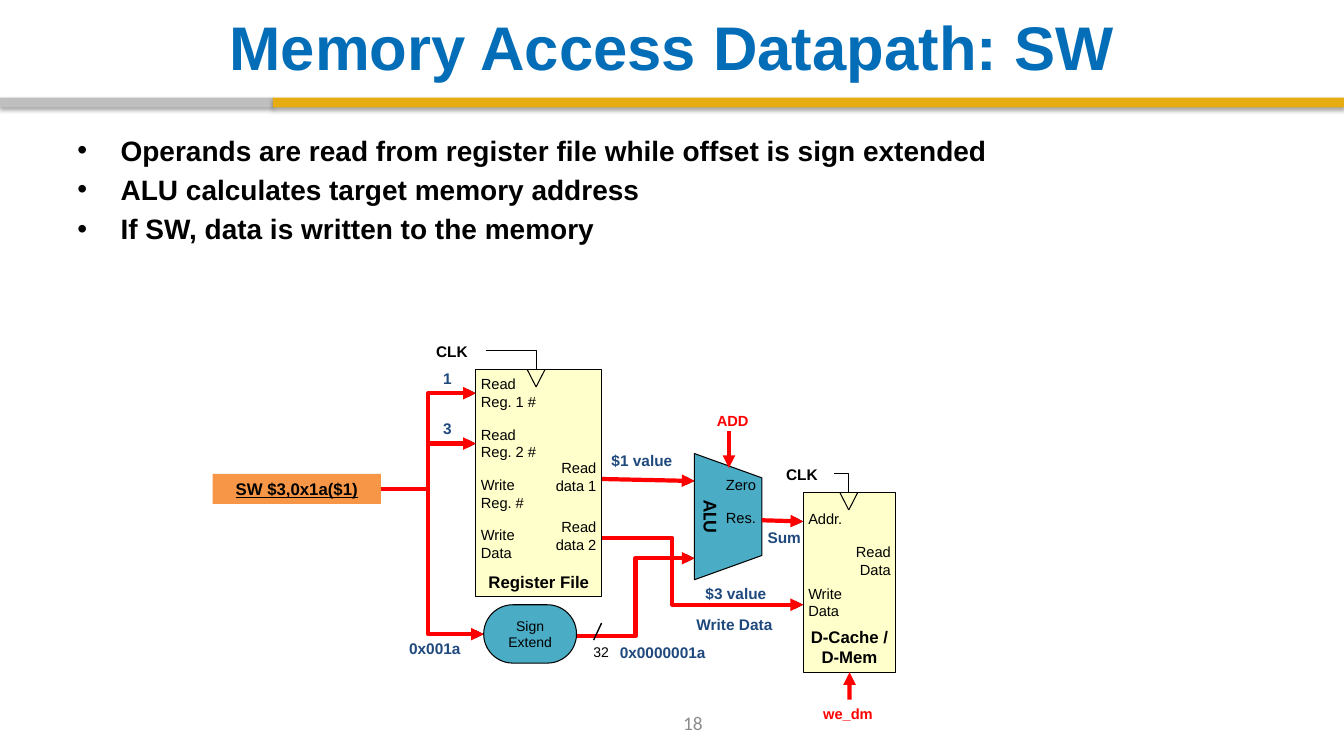
from dataclasses import dataclass

from lxml.etree import SubElement
from pptx import Presentation
from pptx.dml.color import RGBColor
from pptx.enum.shapes import MSO_CONNECTOR as LINK, MSO_SHAPE as SHAPE
from pptx.enum.text import MSO_ANCHOR as ANCHOR, PP_ALIGN as ALIGN
from pptx.oxml.ns import qn
from pptx.util import Cm, Pt

BLACK, RED, NAVY, BLUE, GOLD = "000000", "FF0000", "1F497D", "036DB7", "E7AC11"
CREAM, TEAL, ORANGE, SILVER, GREY = "FFFFCC", "4BACC6", "F79646", "BFBFBF", "8C8C8C"
WIDE, SNUG, SLIM, FLUSH = (0.25, 0.13), (0.13, 0.13), (0.08, 0.13), (0, 0.13)


@dataclass
class Style:
    size: float
    color: str = BLACK
    bold: bool = False
    underline: bool = False
    name: str = "Arial"
    align: ALIGN = ALIGN.LEFT
    anchor: ANCHOR = ANCHOR.TOP
    inset: tuple[float, float] = WIDE
    wrap: bool = True


@dataclass
class Label:
    text: str
    at: tuple[float, float, float, float]
    style: Style


@dataclass
class Block:
    text: str
    at: tuple[float, float, float, float]
    fill: str
    style: Style
    kind: SHAPE = SHAPE.RECTANGLE
    line: str | None = BLACK
    adj: float | None = None
    rotation: float = 0


@dataclass
class Wire:
    start: tuple[float, float]
    end: tuple[float, float]
    bend: float | None = None  # share of the width at which the wire turns


prs = Presentation()
prs.slide_width, prs.slide_height = Cm(33.87), Cm(19.05)
s = prs.slides.add_slide(prs.slide_layouts[6])


def rgb(color: str) -> RGBColor:
    return RGBColor.from_string(color)


def write(tf, text: str, style: Style) -> None:
    """Fill a text frame, one paragraph for each line of the text."""
    side, edge = style.inset
    frame = {"margin_left": Cm(side), "margin_right": Cm(side), "margin_top": Cm(edge),
             "margin_bottom": Cm(edge), "word_wrap": style.wrap, "vertical_anchor": style.anchor}
    for key, value in frame.items():
        setattr(tf, key, value)
    font = {"size": Pt(style.size), "bold": style.bold,
            "underline": style.underline, "name": style.name}
    for i, line in enumerate(text.split("\n")):
        p = tf.add_paragraph() if i else tf.paragraphs[0]
        p.alignment = style.align
        r = p.add_run()
        r.text = line
        for key, value in font.items():
            setattr(r.font, key, value)
        r.font.color.rgb = rgb(style.color)


def add_label(label: Label):
    sp = s.shapes.add_textbox(*map(Cm, label.at))
    write(sp.text_frame, label.text, label.style)
    return sp


def add_block(block: Block):
    sp = s.shapes.add_shape(block.kind, *map(Cm, block.at))
    sp.shadow.inherit = False
    sp.rotation = block.rotation
    sp.fill.solid()
    sp.fill.fore_color.rgb = rgb(block.fill)
    if block.line:
        sp.line.color.rgb = rgb(block.line)
        sp.line.width = Pt(0.75)
    else:
        sp.line.fill.background()
    if block.adj is not None:
        sp.adjustments[0] = block.adj
    if block.text:
        write(sp.text_frame, block.text, block.style)
    return sp


def add_wire(wire: Wire, color: str = BLACK, width: float = 0.75, arrow: bool = False):
    kind = LINK.STRAIGHT if wire.bend is None else LINK.ELBOW
    c = s.shapes.add_connector(kind, *map(Cm, wire.start + wire.end))
    c.line.color.rgb = rgb(color)
    c.line.width = Pt(width)
    props = c._element.spPr
    if arrow:
        SubElement(props.find(qn("a:ln")), qn("a:tailEnd"), type="triangle")
    if wire.bend is not None:
        guides = props.find(qn("a:prstGeom")).get_or_add_avLst()
        SubElement(guides, qn("a:gd"), name="adj1", fmla=f"val {round(wire.bend * 100000)}")
    SubElement(props, qn("a:effectLst"))
    return c


def add_header_bar(left: float, width: float, color: str) -> None:
    sp = add_block(Block("", (left, 2.46, width, 0.25), color, PORT, line=None))
    effects = sp._element.spPr.find(qn("a:effectLst"))
    shadow = SubElement(effects, qn("a:outerShdw"), blurRad=str(Pt(3.1)), dist=str(Pt(1.8)),
                        dir="5400000", rotWithShape="0")
    black = SubElement(shadow, qn("a:srgbClr"), val=BLACK)
    SubElement(black, qn("a:alpha"), val="35000")


def add_bullets(tf) -> None:
    for p in tf.paragraphs:
        p.space_before = Pt(4)
        props = p._p.get_or_add_pPr()
        props.set("marL", str(Cm(1.09)))
        props.set("indent", str(-Cm(1.09)))
        SubElement(props, qn("a:buFont"), typeface="Arial")
        SubElement(props, qn("a:buChar"), char="•")


def add_clock(mid: float, top: float, lead: float, label_left: float) -> None:
    """Draw the clock notch on a block's top edge, its label and its lead."""
    for side in (-0.22, 0.22):
        add_wire(Wire((mid + side, top), (mid, top + 0.43)))
    add_label(Label("CLK", (label_left, top - 0.84, 1.47, 0.74), Style(11, bold=True)))
    add_wire(Wire((mid - lead, top - 0.48), (mid, top), 1))


PORT = Style(10.5, inset=SNUG)
PORT_RIGHT = Style(10.5, inset=SNUG, align=ALIGN.RIGHT)
VALUE = Style(11, NAVY, True)
SIGNAL = Style(10.5, RED, True, align=ALIGN.CENTER, inset=SNUG)
UNIT = Style(12, bold=True, align=ALIGN.CENTER, anchor=ANCHOR.BOTTOM, wrap=False)

add_header_bar(0, 6.88, SILVER)
add_header_bar(6.88, 26.99, GOLD)

add_label(Label("Memory Access Datapath: SW", (1.7, 0.2, 30.48, 1.93),
                Style(44, BLUE, True, align=ALIGN.CENTER, anchor=ANCHOR.MIDDLE)))
add_label(Label("18", (13.51, 17.7, 7.9, 1.02),
                Style(13.8, GREY, name="Calibri", align=ALIGN.CENTER, anchor=ANCHOR.MIDDLE)))
body = add_label(Label("Operands are read from register file while offset is sign extended\n"
                       "ALU calculates target memory address\n"
                       "If SW, data is written to the memory",
                       (1.7, 3.23, 30.48, 13.79), Style(20, bold=True)))
add_bullets(body.text_frame)

memory = add_block(Block("D-Cache /\nD-Mem", (20.24, 12.42, 2.34, 4.52), CREAM, UNIT))
add_block(Block("Register File", (11.99, 9.32, 3.18, 5.72), CREAM, UNIT))
add_block(Block("Sign Extend", (12.19, 15.24, 2.34, 1.47), TEAL,
                Style(10, align=ALIGN.CENTER, anchor=ANCHOR.MIDDLE),
                SHAPE.ROUNDED_RECTANGLE, adj=0.5))
alu = add_block(Block("ALU", (16.76, 12.17, 3.18, 1.7), TEAL,
                      Style(14, bold=True, name="Calibri", align=ALIGN.CENTER,
                            anchor=ANCHOR.MIDDLE),
                      SHAPE.TRAPEZOID, adj=0.36, rotation=90))
alu.text_frame.margin_top = Cm(0.76)
add_block(Block("SW $3,0x1a($1)", (5.36, 11.94, 4.24, 0.76), ORANGE,
                Style(12, bold=True, underline=True, align=ALIGN.CENTER, anchor=ANCHOR.MIDDLE),
                line=None))

INSTRUCTION = (9.6, 12.32)
DATA_WIRES = [
    Wire((14.53, 16.03), (17.5, 14.07), 0.5),
    Wire((15.17, 12.07), (17.5, 12.12)),
    Wire((19.2, 13.11), (20.24, 13.14)),
    Wire((15.17, 13.56), (20.24, 15.24), 0.35),
    Wire(INSTRUCTION, (11.99, 9.91), 0.5),
    Wire(INSTRUCTION, (11.99, 11.18), 0.5),
    Wire(INSTRUCTION, (12.19, 15.98), 0.46),
]
for color, width in ((BLACK, 1.5), (RED, 3)):
    for wire in DATA_WIRES:
        add_wire(wire, color, width, arrow=True)
add_wire(Wire((14.96, 16.13), (15.16, 15.7)), width=1)
add_wire(Wire((18.37, 10.87), (18.37, 11.79)), RED, 3, arrow=True)
write_enable = add_wire(Wire((21.41, 17.63), (21.41, 16.94)), RED, 3, arrow=True)
write_enable.end_connect(memory, 2)

for i, port in enumerate(("Read\nReg. 1 #", "Read\nReg. 2 #", "Write\nReg. #", "Write\nData")):
    add_label(Label(port, (11.99, 9.32 + 1.27 * i, 2.11, 1.14), PORT))

DIAGRAM_TEXT = [
    Label("Read\ndata 1", (13.69, 11.43, 1.47, 1.14), PORT_RIGHT),
    Label("Read\ndata 2", (13.69, 12.93, 1.47, 1.14), PORT_RIGHT),
    Label("Res.", (17.91, 12.7, 1.27, 0.71), PORT_RIGHT),
    Label("Zero", (17.91, 11.86, 1.27, 0.71), PORT_RIGHT),
    Label("Addr.", (20.24, 12.73, 1.9, 0.71), PORT),
    Label("Read Data", (21.31, 13.56, 1.27, 1.14), PORT_RIGHT),
    Label("Write Data", (20.24, 14.6, 1.27, 1.14), PORT),
    Label("32", (14.73, 16.08, 0.84, 0.69), Style(10, align=ALIGN.CENTER, inset=SLIM)),
    Label("0x0000001a", (15.37, 16.08, 2.97, 0.74), VALUE),
    Label("$1 value", (15.16, 11.23, 2.34, 0.74), VALUE),
    Label("Sum", (19.23, 13.18, 1.07, 0.74),
          Style(11, NAVY, True, align=ALIGN.CENTER, inset=FLUSH)),
    Label("1", (10.92, 9.17, 0.84, 0.74), VALUE),
    Label("3", (10.92, 10.44, 0.84, 0.74), VALUE),
    Label("$3 value", (17.53, 14.58, 2.34, 0.74), VALUE),
    Label("Write Data", (17.3, 15.37, 2.54, 0.74), VALUE),
    Label("0x001a", (10.06, 15.98, 2.34, 0.74), VALUE),
    Label("ADD", (17.73, 10.24, 1.47, 0.71), SIGNAL),
    Label("we_dm", (20.29, 17.63, 2.16, 0.71), SIGNAL),
]
for label in DIAGRAM_TEXT:
    add_label(label)

add_clock(13.51, 9.32, 1.27, 10.74)
add_clock(21.39, 12.42, 0.36, 19.56)

prs.save("out.pptx")
